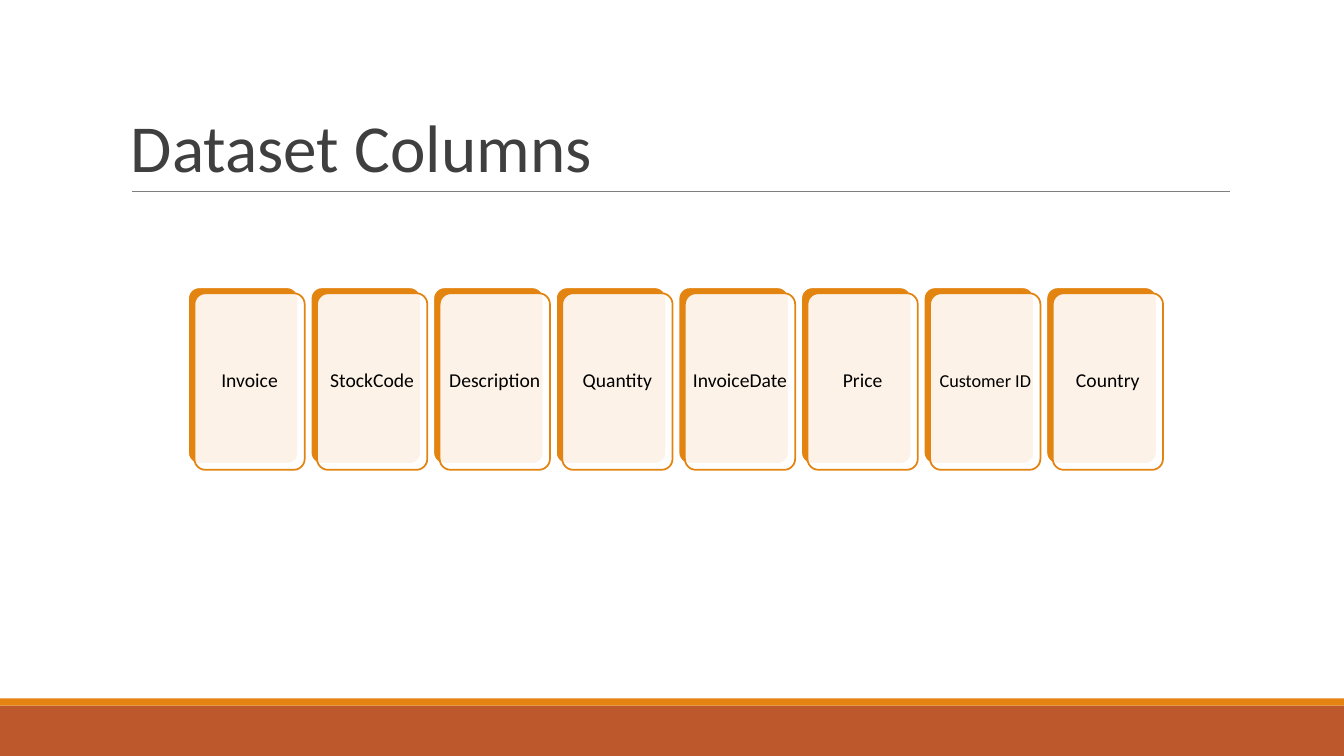
import pptx
import pptx.util
import pptx.dml.color
import pptx.enum.shapes
import pptx.enum.text
import pptx.oxml
import pptx.oxml.ns

Cm = pptx.util.Cm
Pt = pptx.util.Pt
Shape = pptx.enum.shapes.MSO_SHAPE
Align = pptx.enum.text.PP_ALIGN
Anchor = pptx.enum.text.MSO_ANCHOR


def tint(code):
    return pptx.dml.color.RGBColor.from_string(code)


def add_tag(node, name, **attrs):
    child = pptx.oxml.parse_xml(f"<a:{name} {pptx.oxml.ns.nsdecls('a')}/>")
    for key, value in attrs.items():
        child.set(key, value)
    node.append(child)


class Deck:
    font = "Calibri"
    amber = "E38310"
    white = "FFFFFF"

    def __init__(self, slide):
        self.slide = slide

    def place(self, kind, left, top, width, height, fill):
        shape = self.slide.shapes.add_shape(kind, Cm(left), Cm(top), Cm(width), Cm(height))
        shape.shadow.inherit = False
        shape.fill.solid()
        shape.fill.fore_color.rgb = tint(fill)
        return shape

    def band(self, top, height, fill):
        shape = self.place(Shape.RECTANGLE, 0, top, 33.87, height, fill)
        shape.line.fill.background()

    def card(self, left, top, fill, edge, alpha=None):
        shape = self.place(Shape.ROUNDED_RECTANGLE, left, top, 2.78, 4.45, fill)
        shape.adjustments[0] = 0.1
        shape.line.color.rgb = tint(edge)
        shape.line.width = Pt(1.25)
        if alpha:
            color = shape.fill._xPr.find(".//" + pptx.oxml.ns.qn("a:srgbClr"))
            add_tag(color, "alpha", val=str(alpha * 1000))

    def rule(self, left, right, top, color):
        line = self.slide.shapes.add_connector(
            pptx.enum.shapes.MSO_CONNECTOR.STRAIGHT, Cm(left), Cm(top), Cm(right), Cm(top))
        line.line.color.rgb = tint(color)
        line.line.width = Pt(0.75)
        add_tag(line._element.spPr, "effectLst")

    def text(self, words, left, top, width, height, size, color, align, anchor, space, inset):
        box = self.slide.shapes.add_textbox(Cm(left), Cm(top), Cm(width), Cm(height))
        frame = box.text_frame
        frame.word_wrap = True
        frame.vertical_anchor = anchor
        frame.margin_left = frame.margin_right = Cm(inset[0])
        frame.margin_top = frame.margin_bottom = Cm(inset[1])
        frame.text = words
        para = frame.paragraphs[0]
        para.alignment = align
        para.line_spacing = space
        font = para.runs[0].font
        font.name = self.font
        font.size = Pt(size)
        font.color.rgb = tint(color)

    def field(self, name, left, top, size):
        self.card(left, top, self.amber, self.white)
        self.card(left + 0.16, top + 0.15, self.white, self.amber, 90)
        self.text(name, left + 0.24, top + 0.23, 2.62, 4.27, size, "000000",
                  Align.CENTER, Anchor.MIDDLE, 0.9, (0.1, 0.1))


def main():
    show = pptx.Presentation()
    show.slide_width = Cm(33.87)
    show.slide_height = Cm(19.05)
    deck = Deck(show.slides.add_slide(show.slide_layouts[6]))

    deck.band(17.78, 1.27, "BD582C")
    deck.band(17.6, 0.18, "E48312")
    deck.rule(3.32, 31, 4.83, "7F7F7F")
    deck.text("Dataset Columns", 3.05, 0.79, 27.94, 4.04, 48, "3F3F3F",
              Align.LEFT, Anchor.BOTTOM, 0.85, (0.25, 0.13))

    fields = [("Invoice", 14), ("StockCode", 14), ("Description", 14), ("Quantity", 14),
              ("InvoiceDate", 14), ("Price", 14), ("Customer ID", 13), ("Country", 14)]
    for index, (name, size) in enumerate(fields):
        deck.field(name, 4.74 + index * 3.09, 7.24, size)

    show.save("out.pptx")


if __name__ == "__main__":
    main()
